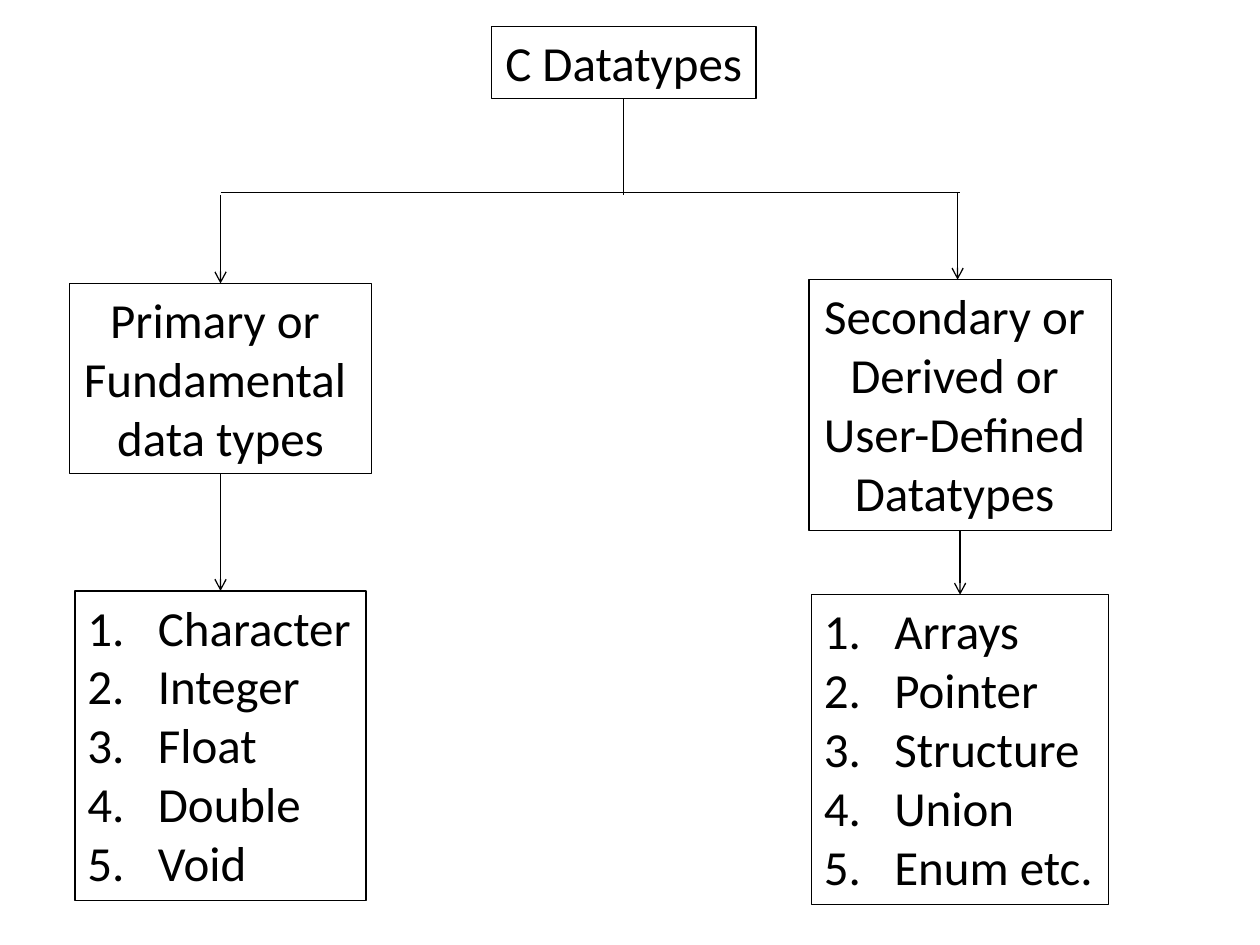
from dataclasses import dataclass
from pptx import Presentation
from pptx.dml.color import RGBColor
from pptx.enum.shapes import MSO_CONNECTOR as Connector
from pptx.enum.text import MSO_AUTO_SIZE as AutoSize, PP_ALIGN as Align
from pptx.oxml.ns import qn
from pptx.util import Inches, Pt
from lxml.etree import SubElement


@dataclass(frozen=True)
class Theme:
    ink: RGBColor = RGBColor(0, 0, 0)
    font: str = "Calibri"
    size: int = 28
    line: float = 0.75
    indent: float = 0.56


theme = Theme()
ROOT_X, LEFT_X, RIGHT_X = 4.95, 1.75, 7.62
BRANCH_Y = 1.53

boxes = {
    "root": dict(center=ROOT_X, top=0.21, width=2.1, height=0.57, numbered=False,
                 lines=["C Datatypes"]),
    "primary": dict(center=LEFT_X, top=2.25, width=2.4, height=1.51, numbered=False,
                    lines=["Primary or ", "Fundamental ", "data types"]),
    "secondary": dict(center=RIGHT_X, top=2.22, width=2.4, height=1.99, numbered=False,
                      lines=["Secondary or ", "Derived or ", "User-Defined ", "Datatypes "]),
    "primary_types": dict(center=LEFT_X, top=4.69, width=2.31, height=2.46, numbered=True,
                          lines=["Character", "Integer", "Float", "Double", "Void"]),
    "secondary_types": dict(center=RIGHT_X, top=4.72, width=2.36, height=2.46, numbered=True,
                            lines=["Arrays", "Pointer", "Structure", "Union", "Enum etc."]),
}


def bottom(name):
    return boxes[name]["top"] + boxes[name]["height"]


def top(name):
    return boxes[name]["top"]


links = [
    ((ROOT_X, bottom("root")), (ROOT_X, 1.55), False),
    ((LEFT_X, BRANCH_Y), (RIGHT_X, BRANCH_Y), False),
    ((LEFT_X, 1.55), (LEFT_X, top("primary")), True),
    ((7.6, BRANCH_Y), (7.6, top("secondary")), True),
    ((LEFT_X, bottom("primary")), (LEFT_X, top("primary_types")), True),
    ((RIGHT_X, bottom("secondary")), (RIGHT_X, top("secondary_types")), True),
]


def set_line(shape):
    shape.line.color.rgb = theme.ink
    shape.line.width = Pt(theme.line)


def number(para):
    properties = para._p.get_or_add_pPr()
    properties.set("marL", str(Inches(theme.indent)))
    properties.set("indent", str(-Inches(theme.indent)))
    SubElement(properties, qn("a:buFont"), typeface="+mj-lt")
    SubElement(properties, qn("a:buAutoNum"), type="arabicPeriod")


def add_box(page, center, top, width, height, numbered, lines):
    box = page.shapes.add_textbox(
        *map(Inches, (center - width / 2, top, width, height)))
    set_line(box)
    frame = box.text_frame
    frame.word_wrap = False
    frame.auto_size = AutoSize.SHAPE_TO_FIT_TEXT
    frame.text = "\n".join(lines)
    for para in frame.paragraphs:
        if numbered:
            number(para)
        else:
            para.alignment = Align.CENTER
        span = para.runs[0]
        for key, value in dict(name=theme.font, size=Pt(theme.size)).items():
            setattr(span.font, key, value)
        span.font.color.rgb = theme.ink


def add_link(page, start, end, arrow):
    link = page.shapes.add_connector(
        Connector.STRAIGHT, *map(Inches, (*start, *end)))
    set_line(link)
    if arrow:
        SubElement(link.line._get_or_add_ln(), qn("a:tailEnd"), type="arrow")
    SubElement(link._element.spPr, qn("a:effectLst"))


deck = Presentation()
deck.slide_width, deck.slide_height = Inches(10), Inches(7.5)
page = deck.slides.add_slide(deck.slide_layouts[6])
for box in boxes.values():
    add_box(page, **box)
for link in links:
    add_link(page, *link)
deck.save("out.pptx")
